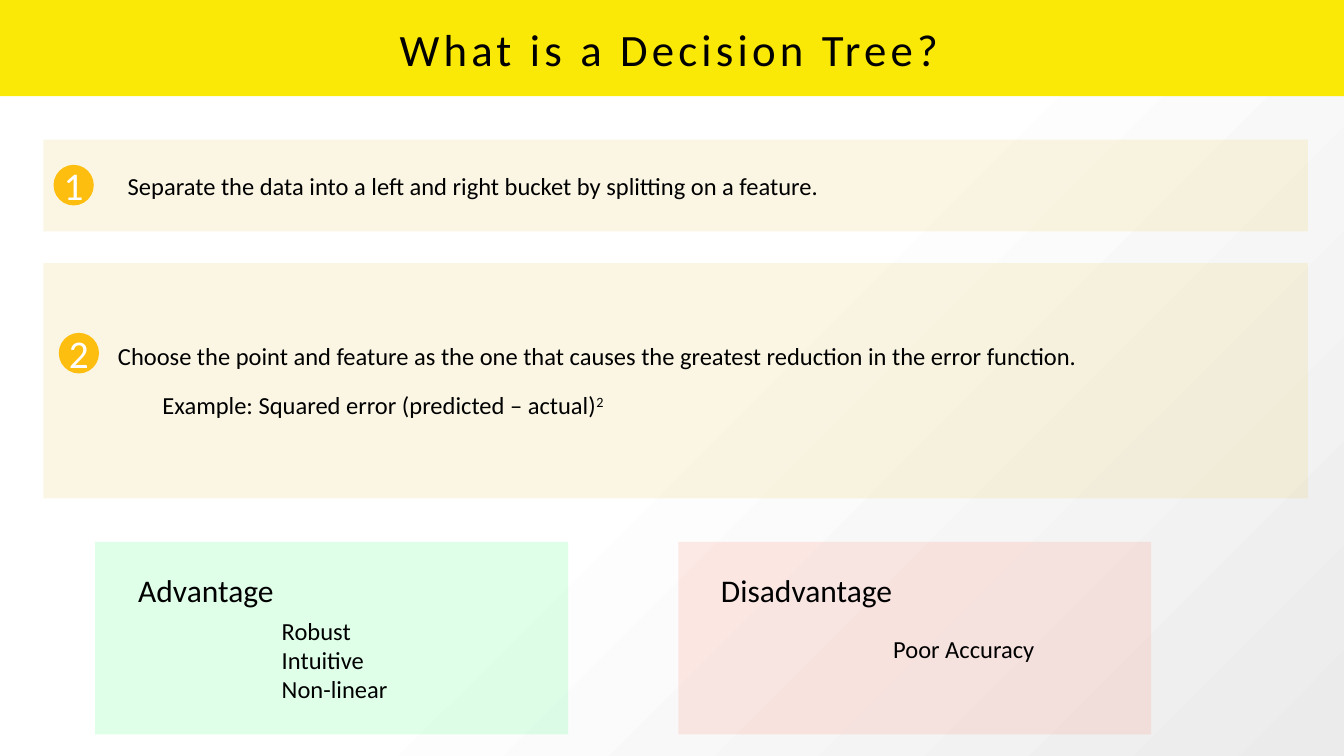
"""Build the slide "What is a Decision Tree?" with its steps, advantages and disadvantages."""
from pptx import Presentation
from pptx.dml.color import RGBColor
from pptx.enum.shapes import MSO_SHAPE
from pptx.enum.text import MSO_ANCHOR, MSO_AUTO_SIZE, PP_ALIGN
from pptx.oxml.ns import qn
from pptx.util import Pt
from lxml import etree

RECT, OVAL = MSO_SHAPE.RECTANGLE, MSO_SHAPE.OVAL
MIDDLE, TOP = MSO_ANCHOR.MIDDLE, MSO_ANCHOR.TOP
LEFT, CENTER = PP_ALIGN.LEFT, PP_ALIGN.CENTER
FIT = MSO_AUTO_SIZE.SHAPE_TO_FIT_TEXT

BLACK = RGBColor(0x00, 0x00, 0x00)
WHITE = RGBColor(0xFF, 0xFF, 0xFF)
GREY = RGBColor(0xEB, 0xEB, 0xEB)
YELLOW = RGBColor(0xFA, 0xE8, 0x07)
AMBER = RGBColor(0xFE, 0xBE, 0x10)
SAND = RGBColor(0xEA, 0xD7, 0x7B)
GREEN = RGBColor(0x69, 0xFF, 0x99)
RED = RGBColor(0xFB, 0x9B, 0x89)

FONT = "Calibri"
WIDTH, HEIGHT = 1920, 1080
BODY, HEADING, NUMBER, TITLE_SIZE = 35, 45, 56, 64
TINT = 21
LINE_H, HEADING_H = 50.4, 62.6

TITLE = "What is a Decision Tree?"
PANELS = [
    (62, 199.5, 1806.5, 131, SAND),
    (62, 376, 1806.5, 336, SAND),
    (136, 774, 675.5, 275, GREEN),
    (969, 774, 675.5, 275, RED),
]
STEPS = [("1", 76.5, 235.5), ("2", 84, 475.5)]
STEP_LINES = [
    ("Separate the data into a left and right bucket by splitting on a feature.", "", 178, 240.5, 1019.5),
    ("Choose the point and feature as the one that causes the greatest reduction in the error function.",
     "", 164, 483, 1395.5),
    ("Example: Squared error (predicted – actual)", "2", 227.5, 553.5, 647.5),
]
HEADINGS = [("Advantage", 193, 205), ("Disadvantage", 1025.5, 257)]
HEADING_TOP = 811.5
POINTS = [
    (["Robust", "Intuitive", "Non-linear"], 398, 875, 235.5, 135.5),
    (["Poor Accuracy"], 1271.5, 901.5, 213, LINE_H),
]


def add_block(slide, kind, x, y, w, h, color, alpha=100):
    """Add a borderless filled shape."""
    sp = slide.shapes.add_shape(kind, Pt(x), Pt(y), Pt(w), Pt(h))
    sp.shadow.inherit = False
    sp.line.fill.background()
    sp.fill.solid()
    sp.fill.fore_color.rgb = color
    if alpha < 100:
        clr = sp.fill._xPr.find(qn("a:solidFill"))[0]
        etree.SubElement(clr, qn("a:alpha")).set("val", str(alpha * 1000))
    return sp


def write(sp, lines, size, color=BLACK, align=LEFT, anchor=MIDDLE, inset=4.5, wrap=False):
    """Fill a shape with uniformly formatted paragraphs."""
    tf = sp.text_frame
    tf.word_wrap = wrap
    tf.vertical_anchor = anchor
    tf.margin_left = tf.margin_right = tf.margin_top = tf.margin_bottom = Pt(inset)
    tf.text = "\n".join(lines)
    for p in tf.paragraphs:
        p.alignment = align
        for r in p.runs:
            style(r, size, color)
    return tf


def style(r, size, color=BLACK):
    """Set the font, size and colour of a run."""
    r.font.name = FONT
    r.font.size = Pt(size)
    r.font.color.rgb = color


def add_text(slide, lines, x, y, w, h, size, **options):
    """Add a text box that fits its text."""
    sp = slide.shapes.add_textbox(Pt(x), Pt(y), Pt(w), Pt(h))
    tf = write(sp, lines, size, **options)
    tf.auto_size = FIT
    return tf


def paint_background(slide):
    """Shade the slide from white to grey towards the lower right."""
    fill = slide.background.fill
    fill.gradient()
    fill.gradient_angle = 315
    for stop, position, color in zip(fill.gradient_stops, (0.5, 1), (WHITE, GREY)):
        stop.position = position
        stop.color.rgb = color


def main():
    """Build and save the slide."""
    prs = Presentation()
    prs.slide_width, prs.slide_height = Pt(WIDTH), Pt(HEIGHT)
    s = prs.slides.add_slide(prs.slide_layouts[6])
    paint_background(s)

    add_block(s, RECT, 0, 0, WIDTH, 137.5, YELLOW)
    title = s.shapes.add_textbox(Pt(43), Pt(-0.5), Pt(1826), Pt(139))
    tf = write(title, [TITLE], TITLE_SIZE, align=CENTER, inset=7.2, wrap=True)
    tf.paragraphs[0].runs[0]._r.get_or_add_rPr().set("spc", "600")

    for x, y, w, h, color in PANELS:
        add_block(s, RECT, x, y, w, h, color, TINT)
    for number, x, y in STEPS:
        sp = add_block(s, OVAL, x, y, 57.5, 58, AMBER)
        write(sp, [number], NUMBER, color=WHITE, align=CENTER, inset=0)
    for text, power, x, y, w in STEP_LINES:
        tf = add_text(s, [text], x, y, w, LINE_H, BODY)
        if power:
            r = tf.paragraphs[0].add_run()
            r.text = power
            style(r, BODY)
            r._r.get_or_add_rPr().set("baseline", "30000")
    for text, x, w in HEADINGS:
        add_text(s, [text], x, HEADING_TOP, w, HEADING_H, HEADING)
    for lines, x, y, w, h in POINTS:
        add_text(s, lines, x, y, w, h, BODY, anchor=TOP, wrap=True)

    prs.save("out.pptx")


if __name__ == "__main__":
    main()
